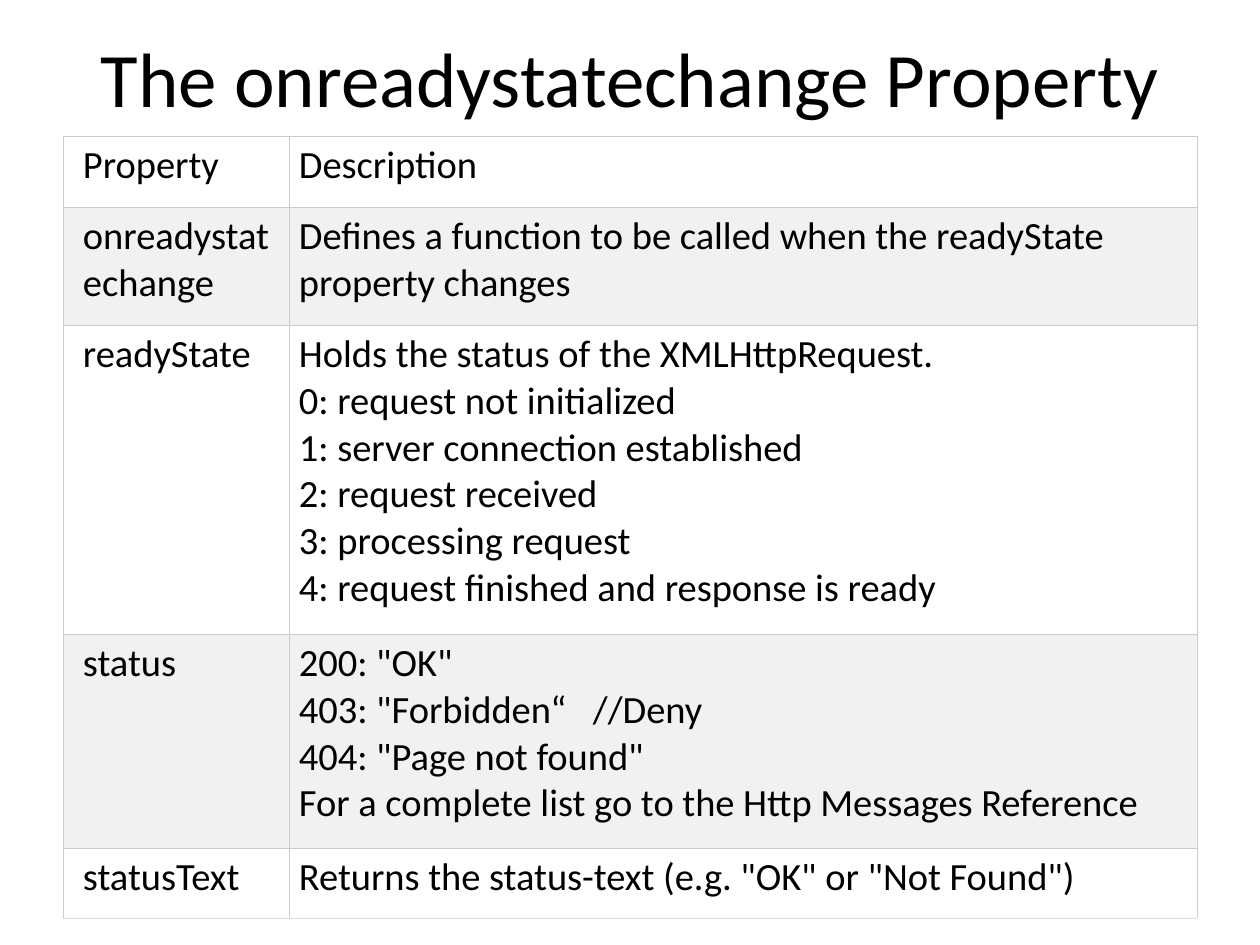
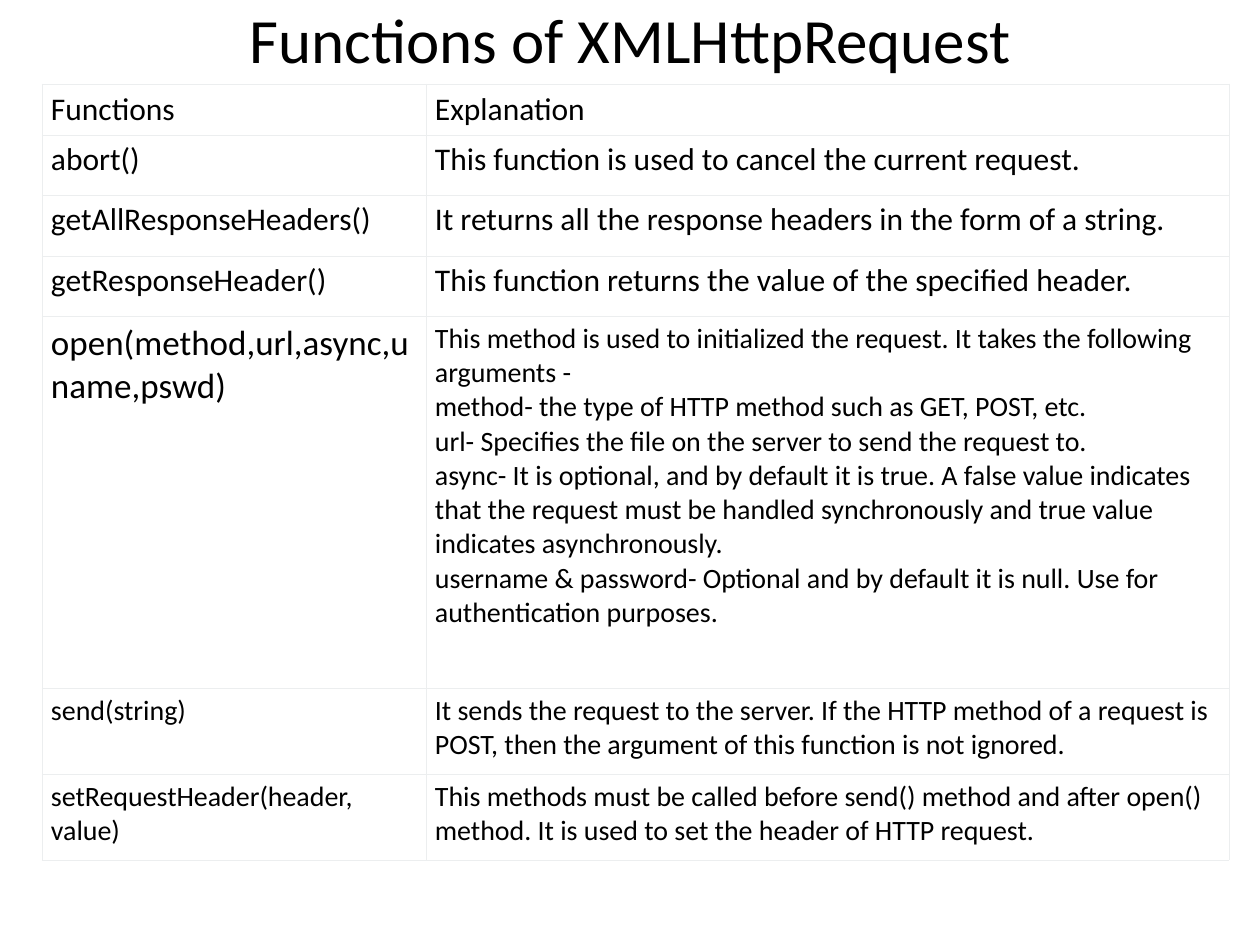
import pptx
import pptx.dml.color
import pptx.enum.text
import pptx.oxml
import pptx.oxml.ns
import pptx.util
from lxml import etree

PIXELS_PER_INCH = 126
FONT = "Calibri"
BLACK = "000000"
WHITE = "FFFFFF"
STRIPE = "F1F1F1"
ANCHOR = pptx.enum.text.MSO_ANCHOR
TITLE_ONLY_LAYOUT = 5
BORDER_WIDTH = pptx.util.Pt(0.34)

PROPERTY_TABLE = {
    "left": 63, "top": 136, "columns": (226, 908),
    "left_margins": (20, 10), "right_margin": 10,
    "border": "CCCCCC", "last_border": "DDDDDD",
    "fills": (WHITE, STRIPE), "header_anchor": ANCHOR.TOP,
}
PROPERTY_ROWS = [
    (71, (22, 22), "Property", "Description"),
    (118, (22, 22), "onreadystatechange",
     "Defines a function to be called when the readyState property changes"),
    (309, (22, 22), "readyState",
     "Holds the status of the XMLHttpRequest.\n"
     "0: request not initialized\n"
     "1: server connection established\n"
     "2: request received\n"
     "3: processing request\n"
     "4: request finished and response is ready"),
    (214, (22, 22), "status",
     '200: "OK"\n'
     '403: "Forbidden“\t//Deny\n'
     '404: "Page not found"\n'
     "For a complete list go to the Http Messages Reference"),
    (70, (22, 22), "statusText",
     'Returns the status-text (e.g. "OK" or "Not Found")'),
]
REMARK_TAB = 294

FUNCTION_TABLE = {
    "left": 42, "top": 84, "columns": (384, 803),
    "left_margins": (9, 9), "right_margin": 9,
    "border": "ECEEEF", "last_border": "ECEEEF",
    "fills": (None,), "header_anchor": ANCHOR.BOTTOM,
}
FUNCTION_ROWS = [
    (51, (18, 18), "Functions", "Explanation"),
    (60, (18, 18), "abort()",
     "This function is used to cancel the current request."),
    (61, (18, 18), "getAllResponseHeaders()",
     "It returns all the response headers in the form of a string."),
    (60, (18, 18), "getResponseHeader()",
     "This function returns the value of the specified header."),
    (372, (20, 16), "open(method,url,async,uname,pswd)",
     "This method is used to initialized the request. It takes the following "
     "arguments -\n"
     "method- the type of HTTP method such as GET, POST, etc.\n"
     "url- Specifies the file on the server to send the request to.\n"
     "async- It is optional, and by default it is true. A false value indicates "
     "that the request must be handled synchronously and true value indicates "
     "asynchronously.\n"
     "username & password- Optional and by default it is null. Use for "
     "authentication purposes."),
    (86, (16, 16), "send(string)",
     "It sends the request to the server. If the HTTP method of a request is "
     "POST, then the argument of this function is not ignored."),
    (86, (16, 16), "setRequestHeader(header, value)",
     "This methods must be called before send() method and after open() method. "
     "It is used to set the header of HTTP request."),
]


def px(length):
    return pptx.util.Inches(length / PIXELS_PER_INCH)


def color(value):
    return pptx.dml.color.RGBColor.from_string(value)


def set_values(target, values):
    for name, value in values.items():
        setattr(target, name, value)


def format_text(text_frame, size):
    for paragraph in text_frame.paragraphs:
        for run in paragraph.runs:
            set_values(run.font, {"name": FONT, "size": pptx.util.Pt(size), "bold": False})
            run.font.color.rgb = color(BLACK)


def add_tab_stop(paragraph, position):
    properties = paragraph._p.get_or_add_pPr()
    tabs = etree.SubElement(properties, pptx.oxml.ns.qn("a:tabLst"))
    etree.SubElement(tabs, pptx.oxml.ns.qn("a:tab"), pos=str(px(position)), algn="l")


def add_titled_slide(presentation, text, top, height, size):
    slide = presentation.slides.add_slide(presentation.slide_layouts[TITLE_ONLY_LAYOUT])
    title = slide.shapes.title
    set_values(title, {"left": px(63), "top": px(top), "width": px(1134), "height": px(height)})
    frame = title.text_frame
    frame.text = text
    set_values(frame, {
        "margin_top": 0, "margin_bottom": 0, "word_wrap": True,
        "vertical_anchor": ANCHOR.MIDDLE,
        "auto_size": pptx.enum.text.MSO_AUTO_SIZE.NONE,
    })
    frame.paragraphs[0].alignment = pptx.enum.text.PP_ALIGN.CENTER
    format_text(frame, size)
    return slide


def set_borders(cell, border, bottom_border):
    properties = cell._tc.get_or_add_tcPr()
    for side, value in zip("LRTB", (border, border, border, bottom_border)):
        line = etree.SubElement(properties, pptx.oxml.ns.qn(f"a:ln{side}"), w=str(BORDER_WIDTH))
        fill = etree.SubElement(line, pptx.oxml.ns.qn("a:solidFill"))
        etree.SubElement(fill, pptx.oxml.ns.qn("a:srgbClr"), val=value)


def fill_cell(cell, text, size, left_margin, right_margin, anchor, fill):
    set_values(cell, {
        "text": text, "vertical_anchor": anchor,
        "margin_left": px(left_margin), "margin_right": px(right_margin),
        "margin_top": px(6), "margin_bottom": px(6),
    })
    for paragraph in cell.text_frame.paragraphs:
        if "\t" in paragraph.text:
            add_tab_stop(paragraph, REMARK_TAB)
    format_text(cell.text_frame, size)
    if fill:
        cell.fill.solid()
        cell.fill.fore_color.rgb = color(fill)
    else:
        cell.fill.background()


def add_reference_table(slide, style, rows):
    columns = style["columns"]
    frame = slide.shapes.add_table(
        len(rows), len(columns), px(style["left"]), px(style["top"]),
        px(sum(columns)), px(sum(row[0] for row in rows)))
    table = frame.table
    set_values(table, {"first_row": False, "horz_banding": False})
    for column, width in zip(table.columns, columns):
        column.width = px(width)
    for row_index, (height, sizes, *texts) in enumerate(rows):
        table.rows[row_index].height = px(height)
        is_last = row_index == len(rows) - 1
        bottom_border = style["last_border"] if is_last else style["border"]
        anchor = ANCHOR.TOP if row_index else style["header_anchor"]
        fill = style["fills"][row_index % len(style["fills"])]
        for column_index, (text, size) in enumerate(zip(texts, sizes)):
            cell = table.cell(row_index, column_index)
            set_borders(cell, style["border"], bottom_border)
            fill_cell(cell, text, size, style["left_margins"][column_index],
                      style["right_margin"], anchor, fill)


def main():
    presentation = pptx.Presentation()
    set_values(presentation, {"slide_width": px(1260), "slide_height": px(945)})

    slide = add_titled_slide(presentation, "The onreadystatechange Property", 20, 114, 44)
    add_reference_table(slide, PROPERTY_TABLE, PROPERTY_ROWS)

    slide = add_titled_slide(presentation, "Functions of XMLHttpRequest", 0, 76, 36)
    add_reference_table(slide, FUNCTION_TABLE, FUNCTION_ROWS)

    presentation.save("out.pptx")


if __name__ == "__main__":
    main()
